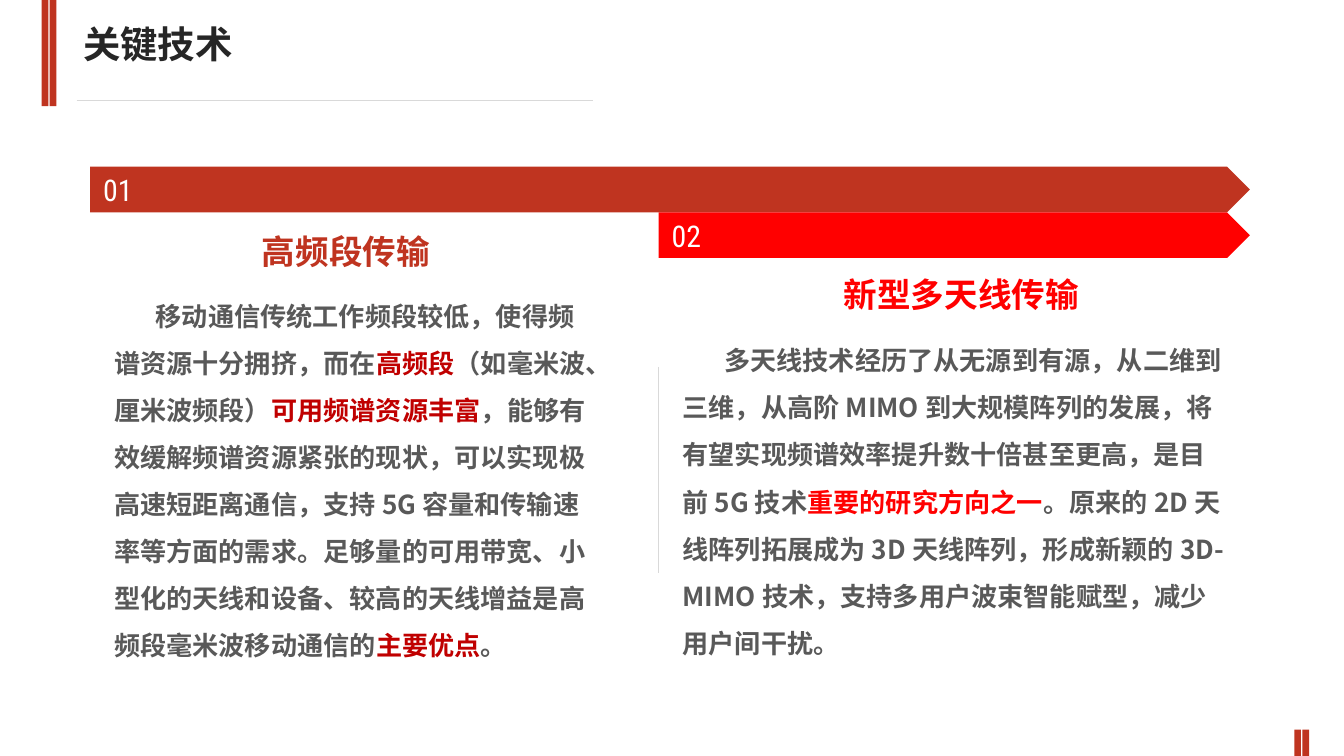
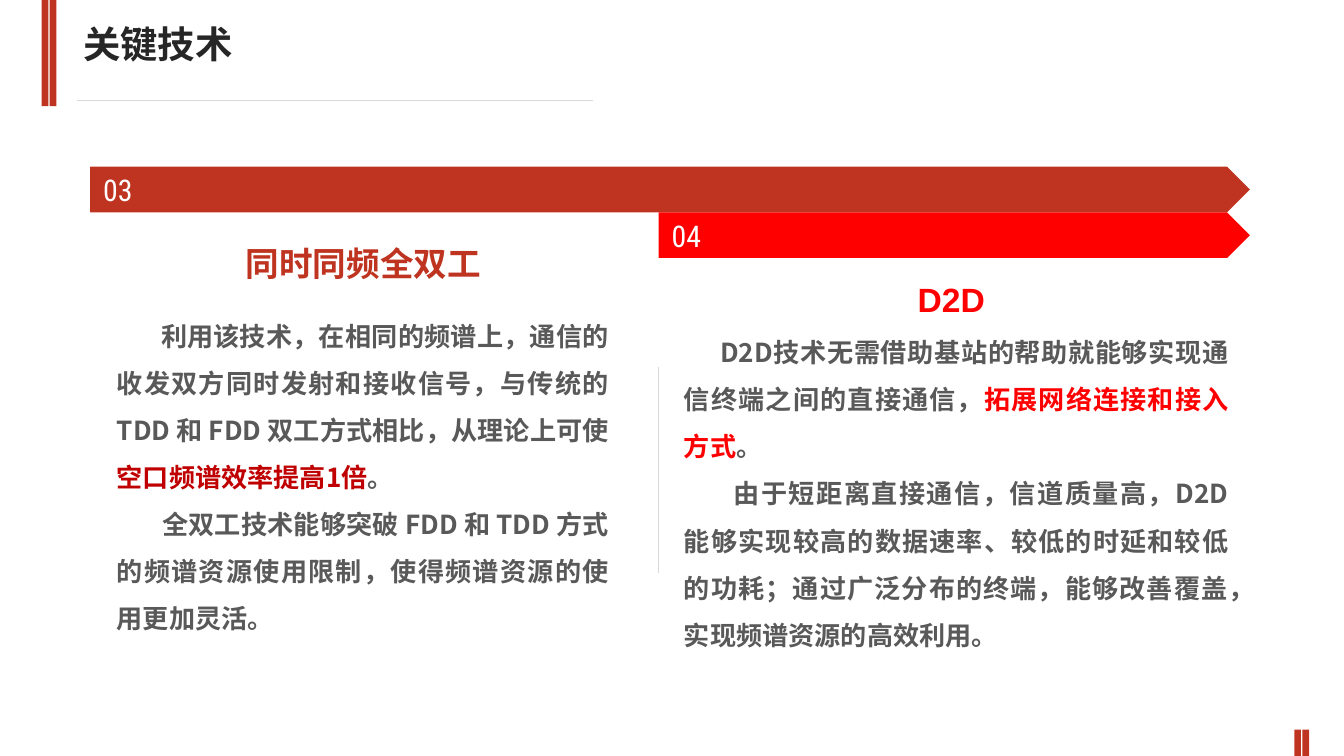
from lxml import etree
from pptx import Presentation
from pptx.dml.color import RGBColor
from pptx.enum.lang import MSO_LANGUAGE_ID
from pptx.enum.shapes import MSO_CONNECTOR, MSO_SHAPE
from pptx.enum.text import MSO_ANCHOR, MSO_AUTO_SIZE, PP_ALIGN
from pptx.oxml.ns import qn
from pptx.util import Inches, Pt

RECTANGLE, PENTAGON = MSO_SHAPE.RECTANGLE, MSO_SHAPE.PENTAGON
STRAIGHT = MSO_CONNECTOR.STRAIGHT
LEFT, JUSTIFY = PP_ALIGN.LEFT, PP_ALIGN.JUSTIFY
MIDDLE = MSO_ANCHOR.MIDDLE
GROW = MSO_AUTO_SIZE.SHAPE_TO_FIT_TEXT
CHINESE = MSO_LANGUAGE_ID.SIMPLIFIED_CHINESE

BRICK, RED, DARK_RED = "BF3420", "FF0000", "C00000"
INK, GREY, RULE, WHITE = "262626", "595959", "D9D9D9", "FFFFFF"
CJK, LATIN, CONDENSED = "Noto Sans CJK SC", "Arial", "Roboto Condensed"

# Shared decoration: left, top, width, height
BARS = [(0.31, 0, 0.05, 0.79), (0.37, 0, 0.05, 0.79),
        (9.63, 5.43, 0.05, 0.2), (9.69, 5.43, 0.05, 0.2)]
RULES = [(0.57, 0.75, 4.41, 0.75), (4.9, 2.73, 4.9, 4.26)]
ARROWS = [(0.67, 1.24, 8.63, 0.34, BRICK), (4.9, 1.58, 4.4, 0.34, RED)]
TITLE = "关键技术"

# Each topic: number, heading with its place, body with its place.
# In a body paragraph every second piece is highlighted.
SLIDES = [
    {"align": LEFT, "topics": [
        {"number": "01", "heading": "高频段传输", "heading_at": (1.85, 1.67),
         "font": CJK, "color": BRICK, "accent": DARK_RED,
         "body_at": (0.75, 2.07, 3.78, 3.24), "indents": [0.31], "body": [
             ["移动通信传统工作频段较低，使得频谱资源十分拥挤，而在", "高频段",
              "（如毫米波、厘米波频段）", "可用频谱资源丰富",
              "，能够有效缓解频谱资源紧张的现状，可以实现极高速短距离通信，"
              "支持 5G 容量和传输速率等方面的需求。足够量的可用带宽、小型化的"
              "天线和设备、较高的天线增益是高频段毫米波移动通信的",
              "主要优点", "。"]]},
        {"number": "02", "heading": "新型多天线传输", "heading_at": (6.18, 1.99),
         "font": LATIN, "color": RED, "accent": RED,
         "body_at": (4.98, 2.4, 4.25, 3.1), "indents": [0.31], "body": [
             ["多天线技术经历了从无源到有源，从二维到三维，从高阶 MIMO "
              "到大规模阵列的发展，将有望实现频谱效率提升数十倍甚至更高，"
              "是目前 5G 技术", "重要的研究方向之一",
              "。原来的 2D 天线阵列拓展成为 3D 天线阵列，形成新颖的 3D-MIMO "
              "技术，支持多用户波束智能赋型，减少用户间干扰。"]]},
    ]},
    {"align": JUSTIFY, "topics": [
        {"number": "03", "heading": "同时同频全双工", "heading_at": (1.73, 1.76),
         "font": CJK, "color": BRICK, "accent": DARK_RED,
         "body_at": (0.77, 2.22, 3.86, 2.53), "indents": [0.33, 0.34], "body": [
             ["利用该技术，在相同的频谱上，通信的收发双方同时发射和接收信号，"
              "与传统的 TDD 和 FDD 双工方式相比，从理论上可使",
              "空口频谱效率提高1倍", "。"],
             ["全双工技术能够突破 FDD 和 TDD 方式的频谱资源使用限制，"
              "使得频谱资源的使用更加灵活。"]]},
        {"number": "04", "heading": "D2D", "heading_at": (6.73, 2.03),
         "font": LATIN, "color": RED, "accent": RED,
         "body_at": (4.99, 2.34, 4.25, 2.53), "indents": [0.27, 0.37], "body": [
             ["D2D技术无需借助基站的帮助就能够实现通信终端之间的直接通信，",
              "拓展网络连接和接入方式", "。"],
             ["由于短距离直接通信，信道质量高，D2D 能够实现较高的数据速率、"
              "较低的时延和较低的功耗；通过广泛分布的终端，能够改善覆盖，"
              "实现频谱资源的高效利用。"]]},
    ]},
]


def rgb(value):
    return RGBColor.from_string(value)


def write(frame, paragraphs, size, font, colors, bold=True):
    """Fill a text frame; the pieces of a paragraph alternate between colors."""
    frame.word_wrap = True
    for index, pieces in enumerate(paragraphs):
        para = frame.add_paragraph() if index else frame.paragraphs[0]
        para.alignment = LEFT
        for position, piece in enumerate(pieces):
            span = para.add_run()
            span.text = piece
            span.font.size, span.font.bold, span.font.name = Pt(size), bold, font
            span.font.language_id = CHINESE
            span.font.color.rgb = rgb(colors[position % len(colors)])
            east_asian = etree.SubElement(span.font._element, qn("a:ea"))
            east_asian.set("typeface", CJK)


# 16:9 page
deck = Presentation()
deck.slide_width = Inches(10)
deck.slide_height = Inches(10) * 9 // 16

for content in SLIDES:
    page = deck.slides.add_slide(deck.slide_layouts[6])

    # Corner bars and numbered arrows
    blocks = [(RECTANGLE, *bar, BRICK, None) for bar in BARS]
    blocks += [(PENTAGON, *arrow, topic["number"])
               for arrow, topic in zip(ARROWS, content["topics"])]
    for kind, left, top, width, height, color, number in blocks:
        block = page.shapes.add_shape(kind, Inches(left), Inches(top),
                                      Inches(width), Inches(height))
        block.shadow.inherit = False
        block.fill.solid()
        block.fill.fore_color.rgb = rgb(color)
        block.line.fill.background()
        if number:
            block.text_frame.vertical_anchor = MIDDLE
            write(block.text_frame, [[number]], 16, CONDENSED, [WHITE], bold=False)

    # Title rule and column divider
    for x1, y1, x2, y2 in RULES:
        rule = page.shapes.add_connector(STRAIGHT, Inches(x1), Inches(y1),
                                         Inches(x2), Inches(y2))
        rule.line.color.rgb = rgb(RULE)
        rule.line.width = Pt(0.75)
        etree.SubElement(rule._element.spPr, qn("a:effectLst"))

    # Title and headings
    labels = [((0.52, 0.11, 4.23, 0.44), TITLE, 20, CONDENSED, INK)]
    labels += [((*topic["heading_at"], 2.07, 0.4), topic["heading"], 18,
                topic["font"], topic["color"]) for topic in content["topics"]]
    for place, label, size, font, color in labels:
        box = page.shapes.add_textbox(*[Inches(length) for length in place])
        write(box.text_frame, [[label]], size, font, [color])
        box.text_frame.auto_size = GROW

    # Body texts with a first-line indent
    for topic in content["topics"]:
        box = page.shapes.add_textbox(*[Inches(length) for length in topic["body_at"]])
        write(box.text_frame, topic["body"], 14, CJK, [GREY, topic["accent"]])
        box.text_frame.auto_size = GROW
        for para, indent in zip(box.text_frame.paragraphs, topic["indents"]):
            para.alignment = content["align"]
            para.line_spacing = 1.5
            para._p.get_or_add_pPr().set("indent", str(Inches(indent)))

deck.save("out.pptx")
